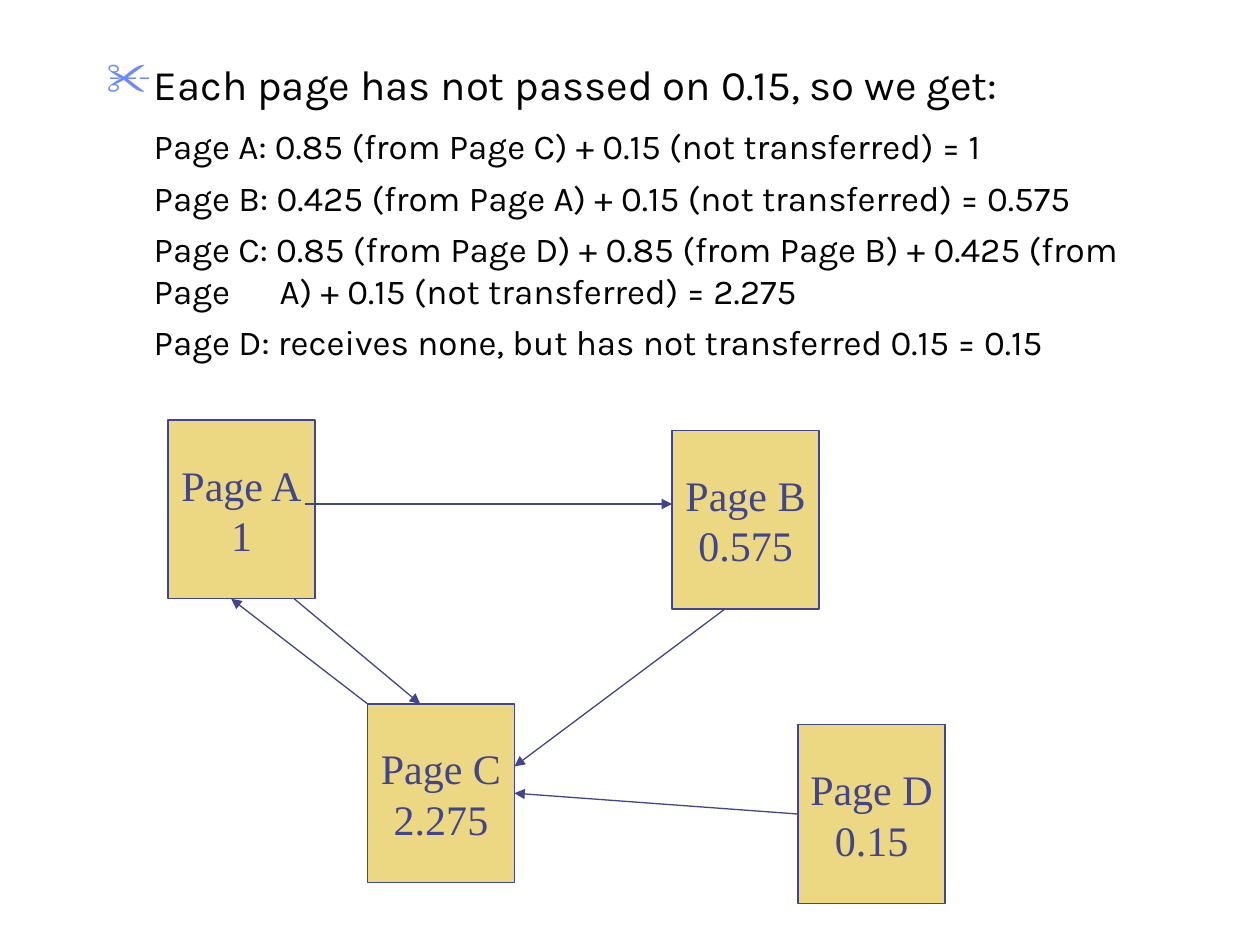
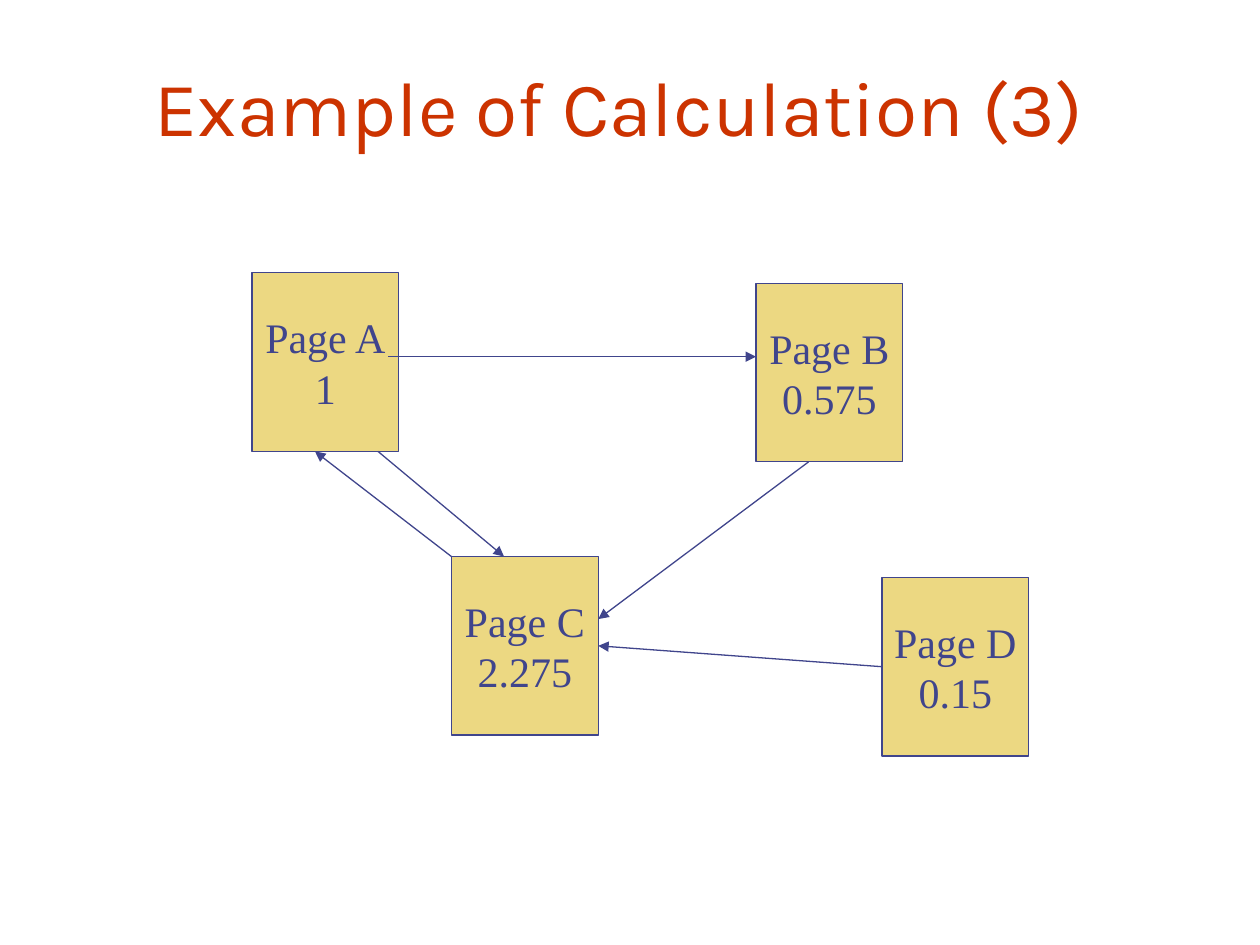
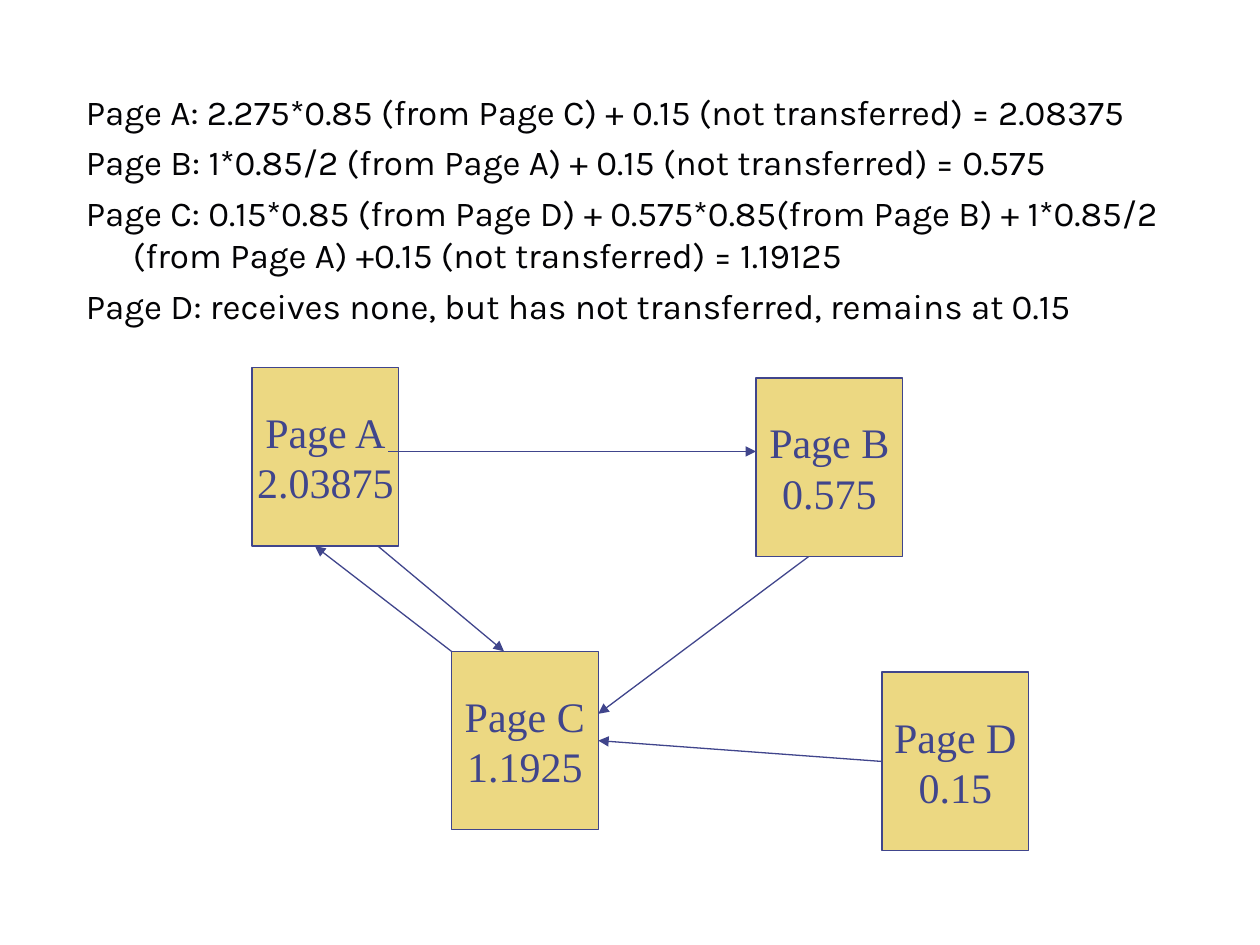
from lxml.etree import SubElement
from pptx import Presentation
from pptx.dml.color import RGBColor
from pptx.enum.shapes import MSO_CONNECTOR, MSO_SHAPE
from pptx.enum.text import MSO_ANCHOR, PP_ALIGN
from pptx.oxml.ns import qn
from pptx.util import Cm, Pt

COLOURS = {
    "title": "CC3300",
    "body": "030305",
    "bullet": "6F89F7",
    "ink": "40458C",
    "box": "ECD882",
}
BODY_FONT = "Karla"
NODE_FONT = "Times New Roman"
INDENT = 0.95
NODE_SIZE = (2.96, 3.6)

# Centimetres from the top left corner of page A
NODES = {"A": (0, 0), "C": (4.02, 5.72), "B": (10.16, 0.21), "D": (12.7, 6.14)}
FREE_ARROWS = [
    ((2.75, 1.69), (10.16, 1.69)),
    ((11.22, 3.81), (6.98, 6.98)),
    ((2.54, 3.6), (5.08, 5.72)),
    ((4.02, 5.72), (1.27, 3.6)),
]
LEFT, RIGHT = 1, 3


def colour(name):
    return RGBColor.from_string(COLOURS[name])


class Pages:
    def __init__(self):
        self.deck = Presentation()
        self.deck.slide_width = Cm(25.4)
        self.deck.slide_height = Cm(19.05)
        self.page = None

    def new_page(self):
        self.page = self.deck.slides.add_slide(self.deck.slide_layouts[6])

    def add_span(self, para, text, size, font, ink):
        span = para.add_run()
        span.text = text
        span.font.size = Pt(size)
        span.font.name = font
        span.font.color.rgb = colour(ink)

    def text_frame(self, left, top, width, height):
        box = self.page.shapes.add_textbox(Cm(left), Cm(top), Cm(width), Cm(height))
        box.text_frame.word_wrap = True
        return box.text_frame

    def add_title(self, text):
        frame = self.text_frame(1.69, 0.85, 21.59, 2.33)
        frame.vertical_anchor = MSO_ANCHOR.BOTTOM
        para = frame.paragraphs[0]
        para.alignment = PP_ALIGN.CENTER
        self.add_span(para, text, 44, BODY_FONT, "title")

    def set_indent(self, para, hanging, bullet=None):
        """Indent a paragraph, with its bullet and a tab stop every inch."""
        properties = para._p.get_or_add_pPr()
        properties.set("marL", str(Cm(INDENT)))
        properties.set("indent", str(Cm(-INDENT if hanging else 0)))
        if bullet:
            bullet_colour = SubElement(properties, qn("a:buClr"))
            SubElement(bullet_colour, qn("a:srgbClr"), val=COLOURS["bullet"])
            SubElement(properties, qn("a:buSzPct"), val="110000")
            SubElement(properties, qn("a:buChar"), char=bullet)
        else:
            SubElement(properties, qn("a:buNone"))
        tabs = SubElement(properties, qn("a:tabLst"))
        for inch in range(1, 9):
            SubElement(tabs, qn("a:tab"), pos=str(Cm(2.54 * inch)), algn="l")

    def add_body(self, place, lines, heading=None):
        """Write (text, space before) lines, set below the bulleted heading if any."""
        frame = self.text_frame(*place)
        para = frame.paragraphs[0]
        if heading:
            self.set_indent(para, True, "✂")
            self.add_span(para, heading, 24, BODY_FONT, "body")
            para = frame.add_paragraph()
        for number, (text, space) in enumerate(lines):
            if number:
                para = frame.add_paragraph()
            self.set_indent(para, hanging=not heading)
            if space:
                para.space_before = Pt(space)
            self.add_span(para, text, 20, BODY_FONT, "body")

    def add_node(self, left, top, lines):
        width, height = NODE_SIZE
        box = self.page.shapes.add_shape(
            MSO_SHAPE.RECTANGLE, Cm(left), Cm(top), Cm(width), Cm(height))
        box.shadow.inherit = False
        box.fill.solid()
        box.fill.fore_color.rgb = colour("box")
        box.line.color.rgb = colour("ink")
        box.line.width = Pt(0.75)
        frame = box.text_frame
        frame.word_wrap = False
        frame.vertical_anchor = MSO_ANCHOR.MIDDLE
        for number, text in enumerate(lines):
            para = frame.add_paragraph() if number else frame.paragraphs[0]
            para.alignment = PP_ALIGN.CENTER
            self.add_span(para, text, 24, NODE_FONT, "ink")
        return box

    def add_arrow(self, start=(0, 0), end=(0, 0)):
        arrow = self.page.shapes.add_connector(
            MSO_CONNECTOR.STRAIGHT, *(Cm(length) for length in (*start, *end)))
        arrow.line.color.rgb = colour("ink")
        arrow.line.width = Pt(0.75)
        SubElement(arrow.line._get_or_add_ln(), qn("a:tailEnd"), type="triangle")
        SubElement(arrow._element.spPr, qn("a:effectLst"))
        return arrow

    def add_page_graph(self, left, top, ranks):
        """Draw the four linked pages with their ranks."""
        boxes = {}
        for name, (x, y) in NODES.items():
            boxes[name] = self.add_node(left + x, top + y, [f"Page {name}", ranks[name]])
        for points in FREE_ARROWS:
            self.add_arrow(*((left + x, top + y) for x, y in points))
        joined = self.add_arrow()
        joined.begin_connect(boxes["D"], LEFT)
        joined.end_connect(boxes["C"], RIGHT)


def main():
    pages = Pages()
    first_ranks = {"A": "1", "B": "0.575", "C": "2.275", "D": "0.15"}
    second_ranks = {**first_ranks, "A": "2.03875", "C": "1.1925"}

    pages.new_page()
    pages.add_body((1.9, 1.06, 21.59, 15.88), [
        ("Page A: 0.85 (from Page C) + 0.15 (not transferred) = 1", 8.7),
        ("Page B: 0.425 (from Page A) + 0.15 (not transferred) = 0.575", 6),
        ("Page C: 0.85 (from Page D) + 0.85 (from Page B) + 0.425 (from Page "
         "\tA) + 0.15 (not transferred) = 2.275", 5),
        ("Page D: receives none, but has not transferred 0.15 = 0.15", 5),
    ], heading="Each page has not passed on 0.15, so we get:")
    pages.add_page_graph(3.39, 8.47, first_ranks)

    pages.new_page()
    pages.add_title("Example of Calculation (3)")
    pages.add_page_graph(5.08, 5.5, first_ranks)

    pages.new_page()
    pages.add_body((1.48, 1.69, 22.86, 16.08), [
        ("Page A: 2.275*0.85 (from Page C) + 0.15 (not transferred) = 2.08375", 0),
        ("Page B: 1*0.85/2 (from Page A) + 0.15 (not transferred) = 0.575", 5),
        ("Page C: 0.15*0.85 (from Page D) + 0.575*0.85(from Page B) + 1*0.85/2 "
         "(from Page A) +0.15 (not transferred) = 1.19125", 5),
        ("Page D: receives none, but has not transferred, remains at 0.15", 5),
    ])
    pages.add_page_graph(5.08, 7.41, second_ranks)

    pages.deck.save("out.pptx")


if __name__ == "__main__":
    main()
